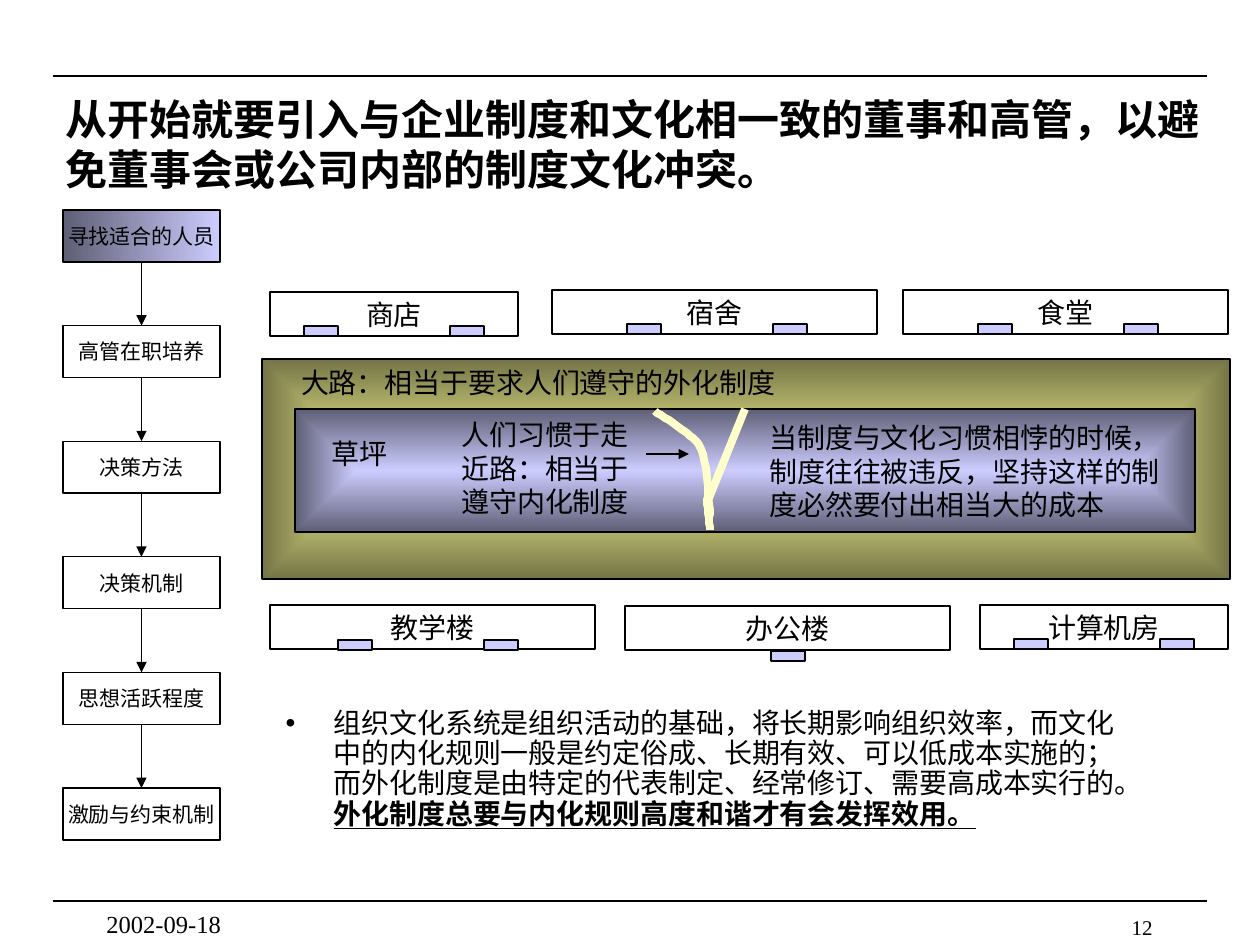
from lxml.etree import SubElement
from pptx import Presentation
from pptx.dml.color import RGBColor
from pptx.enum.shapes import MSO_CONNECTOR, MSO_SHAPE
from pptx.enum.text import MSO_ANCHOR, MSO_AUTO_SIZE, PP_ALIGN
from pptx.oxml import parse_xml
from pptx.oxml.ns import nsdecls, qn
from pptx.util import Pt

PX = 914400 / 126
FONT = "Times New Roman"
BLACK, LILAC, DARK_LILAC = "000000", "CCCCFF", "5E5E75"
SAND, DARK_SAND, PATH_COLOR = "FFFF99", "757546", "FFFFCC"

TITLE = "从开始就要引入与企业制度和文化相一致的董事和高管，以避免董事会或公司内部的制度文化冲突。"
BODY = [
    ("组织文化系统是组织活动的基础，将长期影响组织效率，而文化中的内化规则一般是约定俗成、"
     "长期有效、可以低成本实施的；而外化制度是由特定的代表制定、经常修订、需要高成本实行的。", False),
    ("外化制度总要与内化规则高度和谐才有会发挥效用。", True),
]
STEPS = ["寻找适合的人员", "高管在职培养", "决策方法", "决策机制", "思想活跃程度", "激励与约束机制"]
STEP_X, STEP_TOP, STEP_BOTTOM, STEP_W, STEP_H = 63, 210, 840, 157, 52

# name, left, top, width, door offsets, door drop
BUILDINGS = [
    ("商店", 270, 292, 248, (34, 180), 34),
    ("宿舍", 552, 290, 325, (75, 221), 34),
    ("食堂", 903, 290, 325, (75, 221), 34),
    ("教学楼", 270, 605, 325, (68, 214), 35),
    ("办公楼", 625, 606, 325, (146,), 45),
    ("计算机房", 980, 605, 248, (34, 180), 34),
]
BUILDING_H, DOOR_W, DOOR_H = 44, 34, 10

# text, box, alignment, wrap
LABELS = [
    ("草坪", (312, 432, 94, 42), PP_ALIGN.CENTER, False),
    ("人们习惯于走近路：相当于遵守内化制度", (449, 447, 197, 42), PP_ALIGN.LEFT, True),
    ("大路：相当于要求人们遵守的外化制度", (384, 361, 309, 42), PP_ALIGN.CENTER, False),
    ("当制度与文化习惯相悖的时候，制度往往被违反，坚持这样的制度必然要付出相当大的成本",
     (757, 450, 428, 42), PP_ALIGN.LEFT, True),
]

PATH_START = (655, 411)
PATH_CURVES = [
    ((660, 415), (677, 425), (684, 431)),
    ((693, 438), (698, 440), (703, 454)),
    ((707, 467), (709, 507), (710, 514)),
    ((711, 521), (707, 496), (707, 499)),
    ((707, 502), (709, 523), (710, 530)),
]


def px(*values):
    return [round(v * PX) for v in values]


def rgb(color):
    return RGBColor.from_string(color)


def style_run(r, size, bold=False, underline=False):
    r.font.name, r.font.size = FONT, Pt(size)
    r.font.bold, r.font.underline = bold, underline
    r.font.color.rgb = rgb(BLACK)


def set_text(tf, text, size, align=PP_ALIGN.LEFT, wrap=True, anchor=MSO_ANCHOR.MIDDLE, bold=False):
    tf.text = text
    tf.word_wrap, tf.vertical_anchor = wrap, anchor
    tf.auto_size = MSO_AUTO_SIZE.NONE
    p = tf.paragraphs[0]
    p.alignment = align
    style_run(p.runs[0], size, bold)


def add_text(s, text, box, size, **options):
    set_text(s.shapes.add_textbox(*px(*box)).text_frame, text, size, **options)


def add_box(s, box, fill=None):
    sp = s.shapes.add_shape(MSO_SHAPE.RECTANGLE, *px(*box))
    sp.shadow.inherit = False
    sp.line.color.rgb, sp.line.width = rgb(BLACK), Pt(0.75)
    if fill:
        sp.fill.solid()
        sp.fill.fore_color.rgb = rgb(fill)
    else:
        sp.fill.background()
    return sp


def set_gradient(sp, inner, outer, direction):
    stops = "".join(f'<a:gs pos="{pos}"><a:srgbClr val="{c}"/></a:gs>'
                    for pos, c in ((0, inner), (100000, outer)))
    old = sp._element.spPr.find(qn("a:noFill"))
    old.getparent().replace(old, parse_xml(
        f'<a:gradFill {nsdecls("a")} rotWithShape="1"><a:gsLst>{stops}</a:gsLst>{direction}</a:gradFill>'))


def add_line(s, x1, y1, x2, y2, color=BLACK, width=0.75, arrow=False):
    c = s.shapes.add_connector(MSO_CONNECTOR.STRAIGHT, *px(x1, y1, x2, y2))
    c.line.color.rgb, c.line.width = rgb(color), Pt(width)
    if arrow:
        SubElement(c.line._get_or_add_ln(), qn("a:tailEnd"), type="triangle")
    SubElement(c._element.spPr, qn("a:effectLst"))


def curve_points(start, curves, steps=8):
    """Sample a chain of cubic Bezier curves."""
    points = []
    for a, b, end in curves:
        for i in range(1, steps + 1):
            t = i / steps
            u = 1 - t
            points.append(tuple(u**3 * p0 + 3 * u * u * t * p1 + 3 * u * t * t * p2 + t**3 * p3
                                for p0, p1, p2, p3 in zip(start, a, b, end)))
        start = end
    return points


def place(sp, box):
    sp.left, sp.top, sp.width, sp.height = px(*box)


def add_title_and_body(s):
    title, body = s.shapes.title, s.placeholders[1]
    place(title, (53, 88, 1166, 111))
    set_text(title.text_frame, TITLE, 24, bold=True)

    place(body, (273, 703, 882, 147))
    tf = body.text_frame
    tf.auto_size = MSO_AUTO_SIZE.NONE
    p = tf.paragraphs[0]
    pPr = p._p.get_or_add_pPr()
    pPr.set("marL", str(px(48)[0]))
    pPr.set("indent", str(px(-48)[0]))
    SubElement(pPr, qn("a:buChar"), char="•")
    p.line_spacing, p.space_before = 0.9, Pt(0)
    for text, strong in BODY:
        r = p.add_run()
        r.text = text
        style_run(r, 16, strong, strong)


def add_campus(s):
    from_center = '<a:path path="rect"><a:fillToRect l="50000" t="50000" r="50000" b="50000"/></a:path>'
    set_gradient(add_box(s, (262, 359, 968, 220)), SAND, DARK_SAND, from_center)
    set_gradient(add_box(s, (295, 409, 900, 123)), LILAC, DARK_LILAC, from_center)

    builder = s.shapes.build_freeform(*PATH_START, scale=PX)
    builder.add_line_segments(curve_points(PATH_START, PATH_CURVES), close=False)
    trail = builder.convert_to_shape()
    trail.shadow.inherit = False
    trail.fill.background()
    trail.line.color.rgb, trail.line.width = rgb(PATH_COLOR), Pt(4.5)
    add_line(s, 707, 503, 745, 409, PATH_COLOR, 4.5)

    for name, x, y, w, doors, drop in BUILDINGS:
        set_text(add_box(s, (x, y, w, BUILDING_H)).text_frame, name, 16, PP_ALIGN.CENTER)
        for dx in doors:
            add_box(s, (x + dx, y + drop, DOOR_W, DOOR_H), LILAC)
    for text, box, align, wrap in LABELS:
        add_text(s, text, box, 16, align=align, wrap=wrap)
    add_line(s, 646, 454, 689, 454, arrow=True)


def add_steps(s):
    pitch = (STEP_BOTTOM - STEP_TOP - STEP_H) / (len(STEPS) - 1)
    middle = STEP_X + STEP_W / 2
    for i, name in enumerate(STEPS):
        y = STEP_TOP + i * pitch
        sp = add_box(s, (STEP_X, y, STEP_W, STEP_H))
        set_text(sp.text_frame, name, 12, PP_ALIGN.CENTER, wrap=False)
        if i == 0:
            set_gradient(sp, LILAC, DARK_LILAC, '<a:lin ang="10800000" scaled="1"/>')
        else:
            add_line(s, middle, y - pitch + STEP_H, middle, y, arrow=True)


def main():
    prs = Presentation()
    prs.slide_width, prs.slide_height = px(1260, 945)
    s = prs.slides.add_slide(prs.slide_layouts[1])
    for y in (76, 901):
        add_line(s, 53, y, 1207, y)
    add_title_and_body(s)
    add_campus(s)
    add_steps(s)
    add_text(s, "12", (903, 908, 262, 21), 12, align=PP_ALIGN.RIGHT, anchor=MSO_ANCHOR.TOP)
    add_text(s, "2002-09-18", (94, 903, 262, 32), 14, anchor=MSO_ANCHOR.TOP)
    prs.save("out.pptx")


if __name__ == "__main__":
    main()
